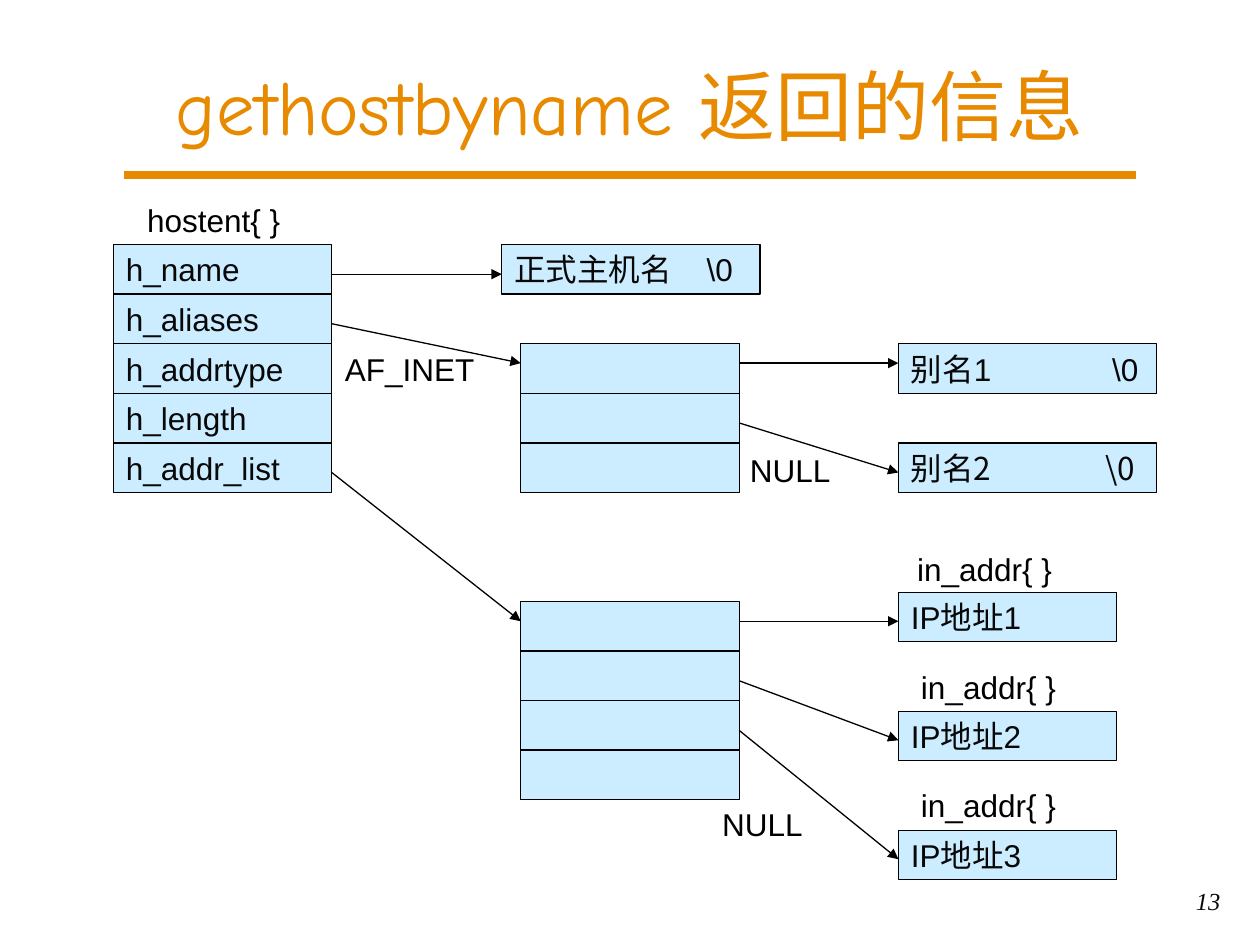
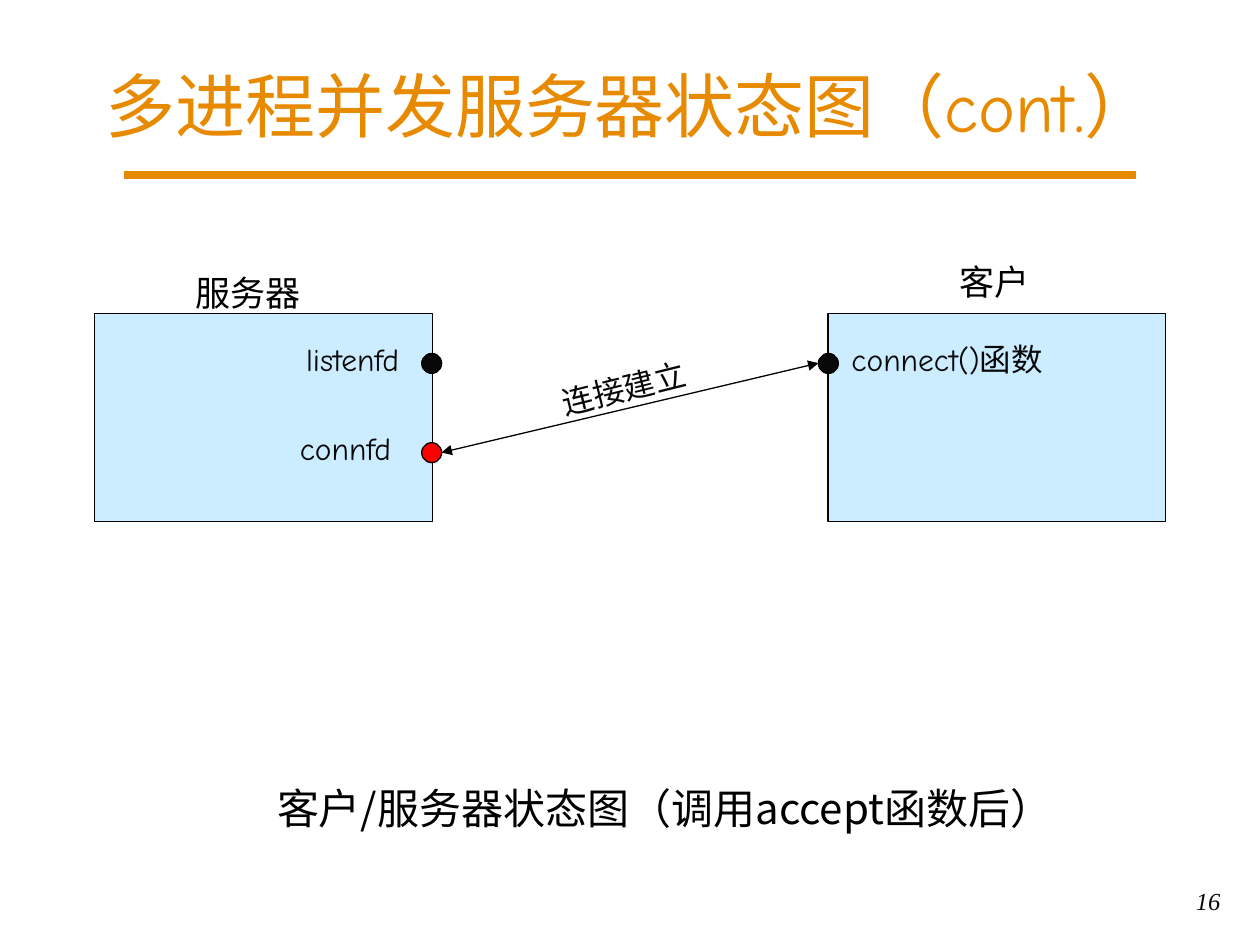
import pptx
import pptx.util
import pptx.dml.color
import pptx.enum.shapes
import pptx.enum.text
import pptx.oxml
import pptx.oxml.ns
from lxml import etree

Pt = pptx.util.Pt
Kind = pptx.enum.shapes.MSO_SHAPE
Align = pptx.enum.text.PP_ALIGN
Anchor = pptx.enum.text.MSO_ANCHOR
qn = pptx.oxml.ns.qn

HUES = {"gold": "E88A00", "pale": "CCECFF", "ink": "080808", "black": "000000", "red": "FF0000"}
SANS, HAND, CJK, SERIF = "Arial", "Comic Neue", "Noto Sans CJK JP", "Times New Roman"

TOP, ROW, WIDE, LONG = 139.7, 28.35, 124.8, 147.6
LEFT, MID, RIGHT = 64.8, 297.6, 513.4
LISTS = 343.6
IP_TOP, IP_STEP = 338.4, 68
SLACK = 12

FIELDS = ["h_name", "h_aliases", "h_addrtype", "h_length", "h_addr_list"]
STACKS = [
    (LEFT, TOP, FIELDS),
    (MID, TOP + 2 * ROW, [""] * 3),
    (MID, LISTS, [""] * 4),
]
NAMES = [
    (286.7, 0, "正式主机名\t\\0", 110, SANS),
    (RIGHT, 2, "别名1\t\\0", 115, SANS),
    (RIGHT, 4, "别名2\t\\0", 111, CJK),
]
IPS = ["IP地址1", "IP地址2", "IP地址3"]
NOTES = [
    ("hostent{ }", 77, 111.6, 92),
    ("NULL", 421.4, 254.2, 60.5),
    ("NULL", 405.6, 456.5, 60.5),
    ("AF_INET", 190, 196.6, 88.6),
    ("in_addr{ }", 517, 311, 92),
    ("in_addr{ }", 519.2, 378, 92),
    ("in_addr{ }", 519.2, 445.8, 92),
]
ARROWS = [
    (LEFT, 156.7, 286.7, 156.7),
    (LEFT, 185, MID, 207.5),
    (LEFT, 270, MID, 355),
    (MID, 207.5, RIGHT, 207.5),
    (MID, 241.7, RIGHT, 270),
    (MID, 355, RIGHT, 355),
    (MID, 389, RIGHT, 423),
    (MID, 417.4, RIGHT, 491),
]

HOSTS = [54, 473.2]
DOTS = [(241, 202, "ink"), (467.7, 202, "ink"), (241, 253, "red")]
LABELS = [
    ("服务器", (104.4, 151.5, 76, 31.5), dict(size=20, hue="black")),
    ("客户", (541.4, 145.4, 56, 31.5), dict(size=20, hue="black")),
    ("connect()函数", (479.5, 190.8, 128.2, 28.8), dict(face=HAND)),
    ("listenfd", (167.8, 190.8, 68.4, 28.8), dict(face=HAND)),
    ("connfd", (164.2, 241.9, 67, 28.8), dict(face=HAND)),
    ("连接建立", (307.2, 207.4, 86.4, 28.8), dict(turn=346.1, align=Align.CENTER)),
    ("客户/服务器状态图（调用accept函数后）", (151.2, 443.8, 481.7, 36),
     dict(size=24, face=CJK, hue="black")),
]


def tint(name):
    return pptx.dml.color.RGBColor.from_string(HUES[name])


def write(shape, text, size=18, face=SANS, hue="ink", align=Align.LEFT,
          anchor=Anchor.MIDDLE, slant=False, tab=None):
    frame = shape.text_frame
    frame.word_wrap = True
    frame.vertical_anchor = anchor
    par = frame.paragraphs[0]
    par.alignment = align
    if tab:
        stops = etree.SubElement(par._p.get_or_add_pPr(), qn("a:tabLst"))
        etree.SubElement(stops, qn("a:tab"), pos=str(Pt(tab)), algn="l")
    run = par.add_run()
    run.text = text
    font = run.font
    font.size, font.name, font.italic = Pt(size), face, slant
    font.color.rgb = tint(hue)
    etree.SubElement(run._r.get_or_add_rPr(), qn("a:ea"), typeface=CJK)


def label(slide, text, area, turn=0, **style):
    left, top, width, height = area
    box = slide.shapes.add_textbox(*map(Pt, (left, top, width + SLACK, height)))
    write(box, text, anchor=Anchor.TOP, **style)
    box.rotation = turn


def block(slide, area, text="", kind=Kind.RECTANGLE, fill="pale", **style):
    shape = slide.shapes.add_shape(kind, *map(Pt, area))
    shape.shadow.inherit = False
    shape.fill.solid()
    shape.fill.fore_color.rgb = tint(fill)
    shape.line.color.rgb = tint("black")
    shape.line.width = Pt(0.75)
    if text:
        write(shape, text, **style)


def link(slide, ends, hue="black", width=0.75, tips=()):
    line = slide.shapes.add_connector(
        pptx.enum.shapes.MSO_CONNECTOR.STRAIGHT, *map(Pt, ends))
    line.line.color.rgb = tint(hue)
    line.line.width = Pt(width)
    props = line._element.spPr
    for tip in tips:
        etree.SubElement(props.find(qn("a:ln")), qn("a:" + tip), type="triangle")
    etree.SubElement(props, qn("a:effectLst"))


def start(deck, text, size, page):
    slide = deck.slides.add_slide(deck.slide_layouts[5])
    link(slide, (70.6, 100, 649.4, 100), hue="gold", width=4.5)
    title = slide.shapes.title
    title.left, title.top, title.width, title.height = map(Pt, (23.8, 15, 672.5, 90))
    write(title, text, size=size, face=HAND, hue="gold", align=Align.CENTER)
    foot = slide.shapes.add_textbox(*map(Pt, (524.4, 502.6, 180, 37.4)))
    write(foot, page, size=14, face=SERIF, align=Align.RIGHT, anchor=Anchor.TOP, slant=True)
    return slide


def host_info(deck):
    slide = start(deck, "gethostbyname 返回的信息", 44, "13")
    for left, top, cells in STACKS:
        for row, text in enumerate(cells):
            block(slide, (left, top + row * ROW, WIDE, ROW), text)
    for left, row, text, tab, face in NAMES:
        block(slide, (left, TOP + row * ROW, LONG, ROW), text, tab=tab, face=face)
    for row, text in enumerate(IPS):
        block(slide, (RIGHT, IP_TOP + row * IP_STEP, WIDE, ROW), text)
    for left, y, right, end in ARROWS:
        link(slide, (left + WIDE, y, right, end), tips=["tailEnd"])
    for text, left, top, width in NOTES:
        label(slide, text, (left, top, width, 28.8), hue="black")


def state_map(deck):
    slide = start(deck, "多进程并发服务器状态图（cont.）", 40, "16")
    for left in HOSTS:
        block(slide, (left, 179.3, 193, 118.8))
    for left, top, hue in DOTS:
        block(slide, (left, top, 11.4, 11.4), kind=Kind.OVAL, fill=hue)
    link(slide, (467.7, 207.5, 252.3, 258.6), tips=["headEnd", "tailEnd"])
    for text, area, style in LABELS:
        label(slide, text, area, **style)


def main():
    deck = pptx.Presentation()
    deck.slide_width, deck.slide_height = Pt(720), Pt(540)
    host_info(deck)
    state_map(deck)
    deck.save("out.pptx")


if __name__ == "__main__":
    main()
